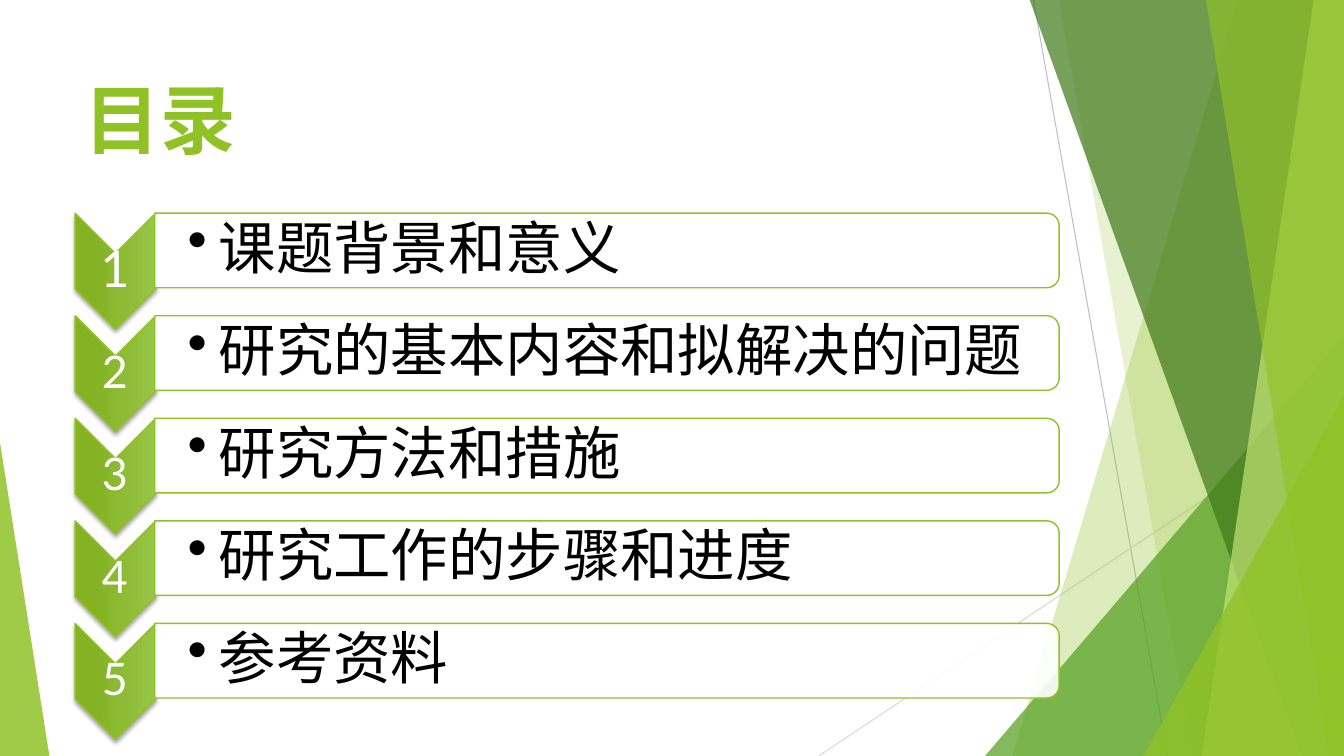
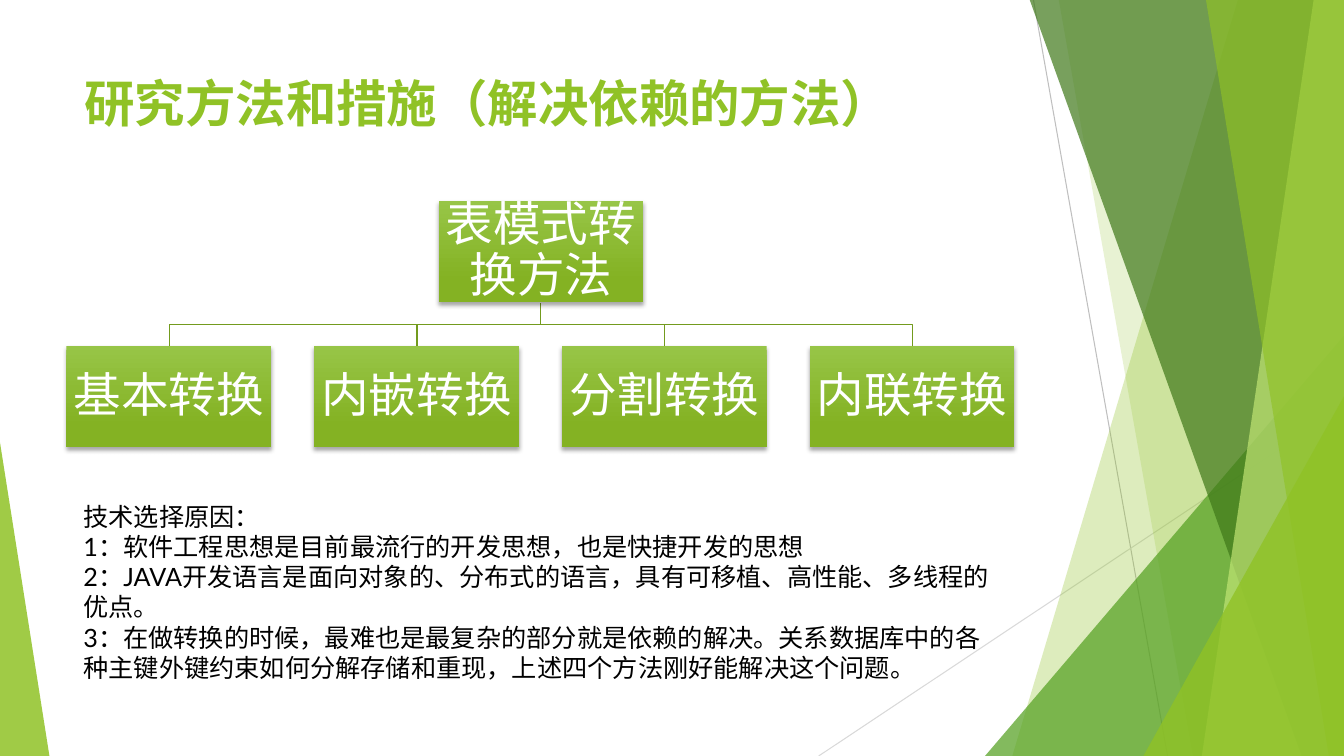
import pptx
import pptx.util
import pptx.dml.color
import pptx.enum.shapes
import pptx.enum.text
import pptx.oxml
import pptx.oxml.ns

Inches = pptx.util.Inches
Pt = pptx.util.Pt
qn = pptx.oxml.ns.qn
KIND = pptx.enum.shapes.MSO_SHAPE
ALIGN = pptx.enum.text.PP_ALIGN
ANCHOR = pptx.enum.text.MSO_ANCHOR

FONT = "Lato"
HEX = {
    "lime": "90C226", "green": "54A021", "dark": "3F7819", "pale": "C0E474",
    "top": "97C547", "low": "84B223", "link": "739B1E",
    "gray": "BFBFBF", "mist": "D9D9D9", "white": "FFFFFF", "black": "000000",
}
WIDE, HIGH = 13.33, 7.5

# Backdrop: outlines run top left, top right, bottom right, bottom left
RAYS = [((10.25, 0), (11.58, HIGH), "gray"), ((WIDE, 4.03), (8.12, HIGH), "mist")]
FACETS = [
    ("band", 12.28, 10.04, "lime", 30),
    ("band", 10.5, 11.83, "lime", 20),
    ("peak", (9.77, 3.33, 3.56, 4.17), 1, "green", 72),
    ("band", 10.21, 12.91, "dark", 70),
    ("band", 13.03, 11.92, "pale", 70),
    ("band", 11.96, 13.18, "lime", 65),
    ("peak", (11.34, 3.93, 1.99, 3.57), 1, "lime", 80),
    ("peak", (0, 4.39, 0.49, 3.11), 0, "lime", 85),
]

TOPICS = ["课题背景和意义", "研究的基本内容和拟解决的问题", "研究方法和措施",
          "研究工作的步骤和进度", "参考资料"]
ROOT = "表模式转换方法"
LEAVES = ["基本转换", "内嵌转换", "分割转换", "内联转换"]
NOTES = [
    "技术选择原因：",
    "1：软件工程思想是目前最流行的开发思想，也是快捷开发的思想",
    "2：JAVA开发语言是面向对象的、分布式的语言，具有可移植、高性能、多线程的优点。",
    "3：在做转换的时候，最难也是最复杂的部分就是依赖的解决。关系数据库中的各种主键"
    "外键约束如何分解存储和重现，上述四个方法刚好能解决这个问题。",
]


def rgb(name):
    return pptx.dml.color.RGBColor.from_string(HEX[name])


def edge(shape, name=None, width=1):
    if name is None:
        shape.line.fill.background()
    else:
        shape.line.color.rgb = rgb(name)
        shape.line.width = Pt(width)


def paint(shape, name, alpha=100):
    """Solid fill with the given opacity in percent."""
    shape.shadow.inherit = False
    shape.fill.solid()
    shape.fill.fore_color.rgb = rgb(name)
    if alpha < 100:
        color = shape._element.spPr.find(qn("a:solidFill")).find(qn("a:srgbClr"))
        color.makeelement  # keeps the element type of the tree
        node = color.makeelement(qn("a:alpha"), {"val": str(alpha * 1000)})
        color.append(node)


def glow(shape):
    """Vertical green gradient with a soft shadow below."""
    shape.fill.gradient()
    shape.fill.gradient_angle = 270
    for stop, name, place in zip(shape.fill.gradient_stops, ("top", "low"), (0, 0.78)):
        stop.color.rgb = rgb(name)
        stop.position = place
    shape.shadow.inherit = False
    shape._element.spPr.find(qn("a:effectLst")).append(pptx.oxml.parse_xml(
        '<a:outerShdw xmlns:a="http://schemas.openxmlformats.org/drawingml/2006/main"'
        ' blurRad="38100" dist="25400" dir="5400000" rotWithShape="0">'
        '<a:srgbClr val="000000"><a:alpha val="35000"/></a:srgbClr></a:outerShdw>'))


def block(slide, kind, box, turn=0):
    shape = slide.shapes.add_shape(kind, *map(Inches, box))
    shape.rotation = turn
    return shape


def trace(slide, points):
    """Open or closed outline through points in inches."""
    spots = [(Inches(x), Inches(y)) for x, y in points]
    pen = slide.shapes.build_freeform(*spots[0])
    pen.add_line_segments(spots[1:], close=len(set(points)) < len(points))
    return pen.convert_to_shape()


def write(shape, lines, size, color, bold=None, align=ALIGN.LEFT,
          anchor=ANCHOR.TOP, pad=None, lead=None):
    frame = shape.text_frame
    frame.word_wrap = True
    frame.vertical_anchor = anchor
    if pad:
        (frame.margin_left, frame.margin_top,
         frame.margin_right, frame.margin_bottom) = map(Inches, pad)
    frame.text = "\n".join(lines)
    for para in frame.paragraphs:
        para.alignment = align
        if lead:
            para.line_spacing = lead
        for run in para.runs:
            font = run.font
            font.name, font.size, font.bold = FONT, Pt(size), bold
            font.color.rgb = rgb(color)
            props = run._r.get_or_add_rPr()
            props.set("lang", "zh-CN")
            east = props.makeelement(qn("a:ea"), {"typeface": FONT})
            props.find(qn("a:latin")).addnext(east)
    return frame


def label(slide, box, lines, size, color, **style):
    shape = slide.shapes.add_textbox(*map(Inches, box))
    return write(shape, lines, size, color, **style)


def bullet(para, hang):
    props = para._p.get_or_add_pPr()
    props.set("marL", str(Inches(hang)))
    props.set("indent", str(-Inches(hang)))
    props.append(props.makeelement(qn("a:buChar"), {"char": "•"}))


def backdrop(slide):
    for start, end, name in RAYS:
        ray = slide.shapes.add_connector(
            pptx.enum.shapes.MSO_CONNECTOR.STRAIGHT, *map(Inches, start + end))
        edge(ray, name, 0.75)
        props = ray._element.spPr
        props.append(props.makeelement(qn("a:effectLst"), {}))
    for kind, place, side, name, alpha in FACETS:
        if kind == "band":
            shape = trace(slide, [(place, -0.01), (WIDE, -0.01), (WIDE, HIGH),
                                  (side, HIGH), (place, -0.01)])
        else:
            shape = block(slide, KIND.ISOSCELES_TRIANGLE, place)
            shape.adjustments[0] = side
        paint(shape, name, alpha)
        edge(shape)


def page(deck, title, size):
    slide = deck.slides.add_slide(deck.slide_layouts[6])
    backdrop(slide)
    label(slide, (0.74, 0.67, 9.4, 1.44), [title], size, "lime", bold=True)
    return slide


def row(slide, index, topic):
    """Numbered chevron and the topic bar beside it."""
    drop = index * 4.07 / 4
    mark = block(slide, KIND.CHEVRON, (0.57, 2.29 + drop, 1.15, 0.8), 90)
    glow(mark)
    edge(mark, "lime")
    label(slide, (0.74, 2.52 + drop, 0.8, 0.34), [str(index + 1)],
          32 if index else 36, "white", align=ALIGN.CENTER,
          anchor=ANCHOR.MIDDLE, pad=[0.02] * 4, lead=0.9)
    bar = block(slide, KIND.ROUND_2_SAME_RECTANGLE, (5.65, drop - 2, 0.74, 8.97), 90)
    paint(bar, "white", 90)
    edge(bar, "lime")
    frame = label(slide, (1.54, 2.15 + drop, 8.93, 0.67), [topic], 41, "black",
                  anchor=ANCHOR.MIDDLE, pad=(0.32, 0.03, 0.03, 0.03), lead=0.9)
    bullet(frame.paragraphs[0], 0.31)


def node(slide, left, top, text):
    shape = block(slide, KIND.RECTANGLE, (left, top, 2.03, 1.01))
    glow(shape)
    edge(shape)
    write(shape, [text], 34, "white", align=ALIGN.CENTER,
          anchor=ANCHOR.MIDDLE, pad=[0.02] * 4, lead=0.9)


def tree(slide):
    lefts = [0.66 + i * 7.37 / 3 for i in range(len(LEAVES))]
    for left in reversed(lefts):
        end = left + 1.02
        link = trace(slide, [(5.36, 3.01), (5.36, 3.22), (end, 3.22), (end, 3.43)])
        link.shadow.inherit = False
        link.fill.background()
        edge(link, "link")
    node(slide, 4.35, 1.99, ROOT)
    for left, text in zip(lefts, LEAVES):
        node(slide, left, 3.43, text)


def main():
    deck = pptx.Presentation()
    deck.slide_width, deck.slide_height = Inches(WIDE), Inches(HIGH)

    # Contents
    slide = page(deck, "目录", 54)
    for index, topic in enumerate(TOPICS):
        row(slide, index, topic)

    # Methods
    slide = page(deck, "研究方法和措施（解决依赖的方法）", 36)
    tree(slide)
    label(slide, (0.73, 4.92, 9.26, 2.22), NOTES, 18, "black")

    deck.save("out.pptx")


main()
